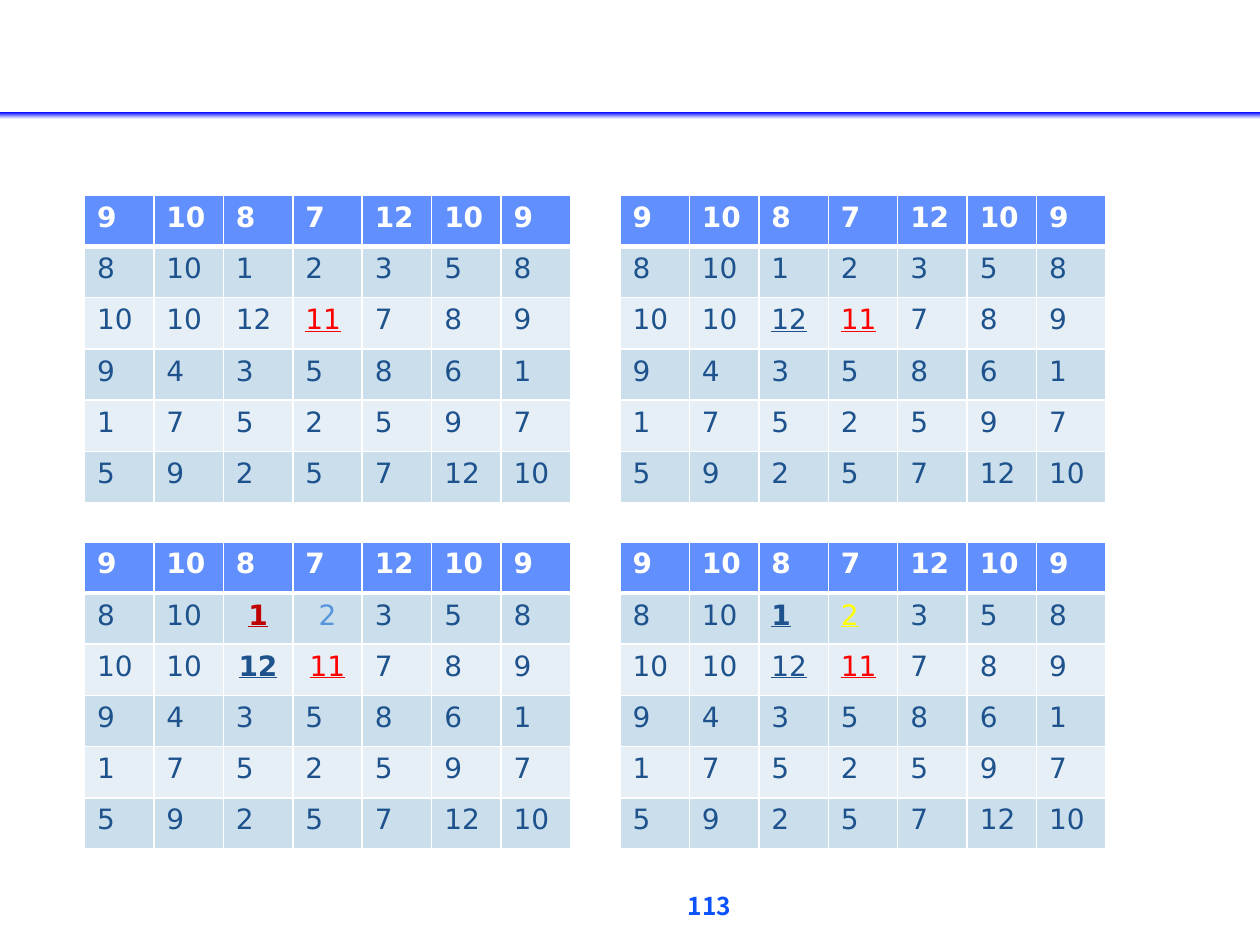
from copy import deepcopy
from dataclasses import dataclass, field
from typing import Optional

from lxml.etree import SubElement
from pptx import Presentation
from pptx.dml.color import RGBColor
from pptx.enum.shapes import MSO_SHAPE
from pptx.enum.text import MSO_AUTO_SIZE, PP_ALIGN
from pptx.oxml.ns import qn
from pptx.util import Inches, Pt


@dataclass(frozen=True)
class Theme:
    head: str = "618FFD"
    dark: str = "CBDEEC"
    light: str = "E7EFF6"
    ink: str = "1D528D"
    white: str = "FFFFFF"
    red: str = "FF0000"
    wine: str = "C00000"
    sky: str = "5695DC"
    yellow: str = "FFFF00"
    page: str = "0B52FC"
    rule: tuple = ((0, "0000FF"), (0.89, "CCD6FF"), (1, "E6EBFF"))
    font: str = "DejaVu Sans"
    page_font: str = "Noto Sans CJK SC"
    size: int = 16
    page_size: int = 14
    thin: int = 1
    thick: int = 3


@dataclass(frozen=True)
class Mark:
    color: str
    bold: bool = False
    line: bool = False
    align: Optional[PP_ALIGN] = None


@dataclass(frozen=True)
class Grid:
    left: float
    top: float
    marks: dict = field(default_factory=dict)  # (row, column) -> Mark


THEME = Theme()
VALUES = (
    (9, 10, 8, 7, 12, 10, 9),
    (8, 10, 1, 2, 3, 5, 8),
    (10, 10, 12, 11, 7, 8, 9),
    (9, 4, 3, 5, 8, 6, 1),
    (1, 7, 5, 2, 5, 9, 7),
    (5, 9, 2, 5, 7, 12, 10),
)
WIDTH, HEIGHT = 3.86, 2.44
LEFTS, TOPS = (0.67, 4.92), (1.55, 4.3)
MID = PP_ALIGN.CENTER
CORE = Mark(THEME.red, line=True)
NEAR = Mark(THEME.ink, line=True)
GRIDS = (
    Grid(LEFTS[0], TOPS[0], {(2, 3): CORE}),
    Grid(LEFTS[1], TOPS[0], {(2, 2): NEAR, (2, 3): CORE}),
    Grid(LEFTS[0], TOPS[1], {
        (1, 2): Mark(THEME.wine, True, True, MID),
        (1, 3): Mark(THEME.sky, align=MID),
        (2, 2): Mark(THEME.ink, True, True, MID),
        (2, 3): Mark(THEME.red, line=True, align=MID),
    }),
    Grid(LEFTS[1], TOPS[1], {
        (1, 2): Mark(THEME.ink, True, True),
        (1, 3): Mark(THEME.yellow, line=True),
        (2, 2): NEAR,
        (2, 3): CORE,
    }),
)


def write(frame, text: str, *, color: str, font: str = THEME.font,
          size: int = THEME.size, bold: bool = False, line: bool = False,
          align: Optional[PP_ALIGN] = None):
    para = frame.paragraphs[0]
    para.alignment = align
    run = para.add_run()
    run.text = text
    run.font.name, run.font.size = font, Pt(size)
    run.font.bold, run.font.underline = bold, line
    run.font.color.rgb = RGBColor.from_string(color)
    return para


def edge(cell, row: int) -> None:
    """Give a cell white borders, thick between header and body."""
    props = cell._tc.get_or_add_tcPr()
    heavy = {0: "lnB", 1: "lnT"}.get(row)
    for spot, side in enumerate(("lnL", "lnR", "lnT", "lnB")):
        width = THEME.thick if side == heavy else THEME.thin
        line = SubElement(props, qn(f"a:{side}"), w=str(Pt(width)))
        paint = SubElement(line, qn("a:solidFill"))
        SubElement(paint, qn("a:srgbClr"), val=THEME.white)
        props.insert(spot, line)


def draw_grid(slide, grid: Grid) -> None:
    table = slide.shapes.add_table(
        len(VALUES), len(VALUES[0]), Inches(grid.left), Inches(grid.top),
        Inches(WIDTH), Inches(HEIGHT)).table
    for row, line in enumerate(VALUES):
        if row == 0:
            fill, base = THEME.head, Mark(THEME.white, bold=True)
        else:
            fill = THEME.dark if row % 2 else THEME.light
            base = Mark(THEME.ink)
        for col, value in enumerate(line):
            cell = table.cell(row, col)
            cell.fill.solid()
            cell.fill.fore_color.rgb = RGBColor.from_string(fill)
            edge(cell, row)
            mark = grid.marks.get((row, col), base)
            write(cell.text_frame, str(value), color=mark.color,
                  bold=mark.bold, line=mark.line, align=mark.align)


def draw_rule(slide) -> None:
    bar = slide.shapes.add_shape(
        MSO_SHAPE.RECTANGLE, 0, Inches(0.89), Inches(10), Inches(0.05))
    bar.shadow.inherit = False
    bar.line.fill.background()
    bar.fill.gradient()
    bar.fill.gradient_angle = 270
    stops = bar._element.spPr.find(qn("a:gradFill")).find(qn("a:gsLst"))
    stops.insert(1, deepcopy(stops[0]))
    for stop, (place, color) in zip(bar.fill.gradient_stops, THEME.rule):
        stop.position = place
        stop.color.rgb = RGBColor.from_string(color)


def draw_page(slide, number: str) -> None:
    frame = slide.shapes.add_textbox(
        Inches(3.1), Inches(7.07), Inches(5.06), Inches(0.3)).text_frame
    frame.word_wrap = True
    frame.auto_size = MSO_AUTO_SIZE.SHAPE_TO_FIT_TEXT
    para = write(frame, number, color=THEME.page, font=THEME.page_font,
                 size=THEME.page_size, bold=True, align=MID)
    para.line_spacing = 0.8
    props = para._p.get_or_add_pPr()
    props.set("marL", str(Inches(0.25)))
    props.set("indent", str(Inches(-0.25)))


def main() -> None:
    deck = Presentation()
    deck.slide_width, deck.slide_height = Inches(10), Inches(7.5)
    slide = deck.slides.add_slide(deck.slide_layouts[6])
    draw_page(slide, "113")
    draw_rule(slide)
    for grid in GRIDS:
        draw_grid(slide, grid)
    deck.save("out.pptx")


if __name__ == "__main__":
    main()
